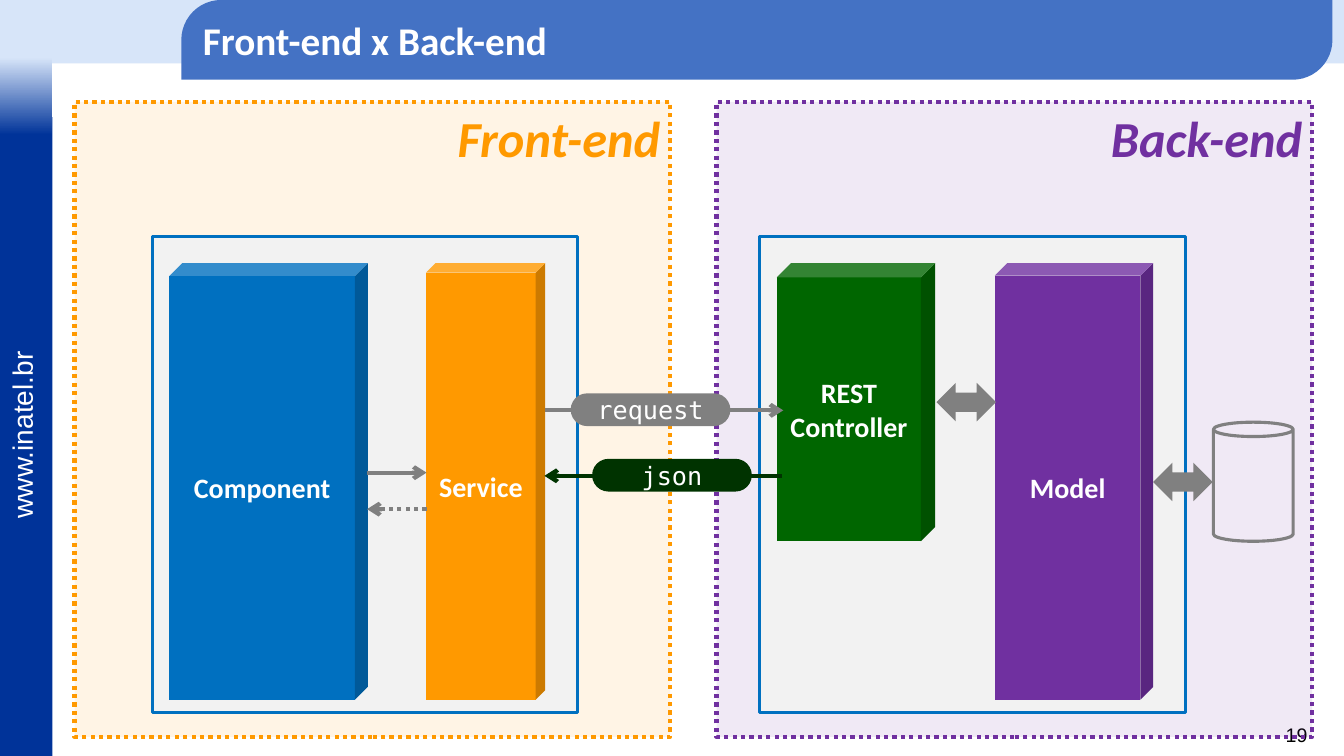
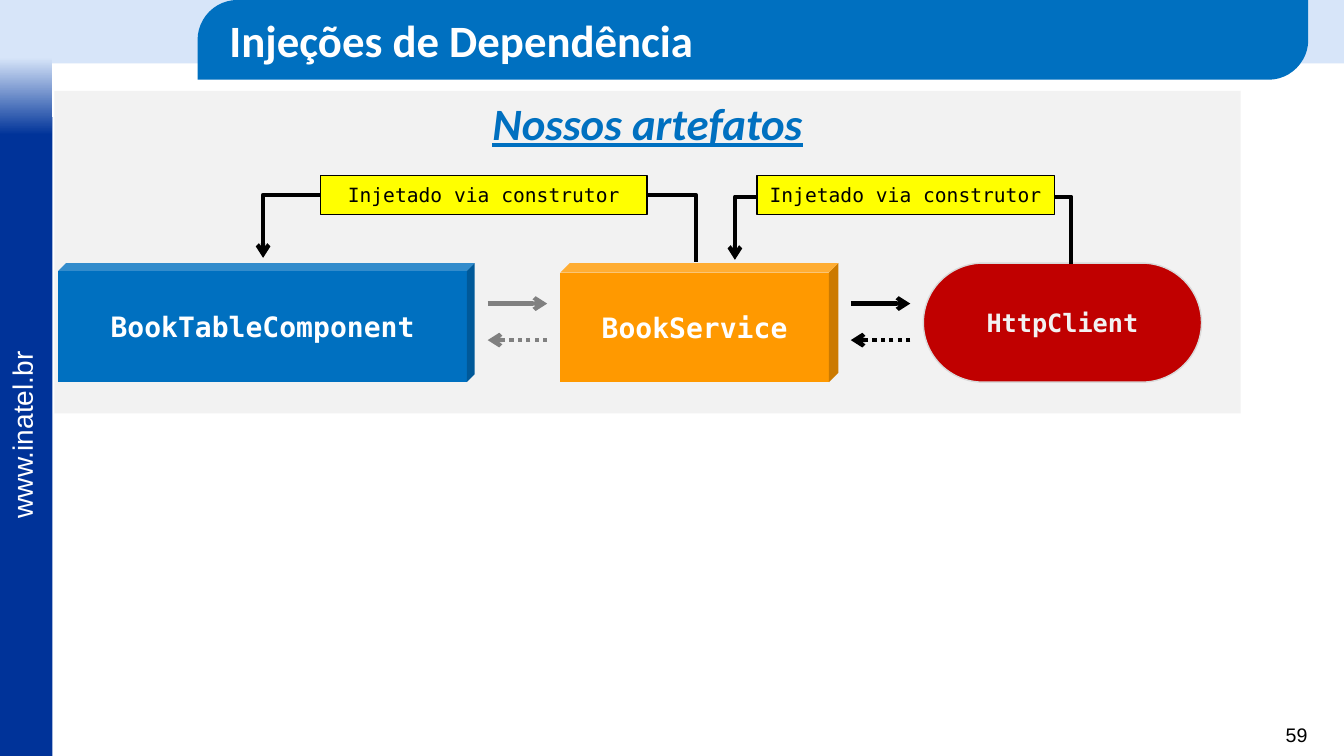
"""Build two slides on front-end, back-end and dependency injection."""
from lxml.etree import SubElement
from pptx import Presentation
from pptx.dml.color import RGBColor as Rgb
from pptx.enum.dml import MSO_LINE as Dash
from pptx.enum.shapes import MSO_CONNECTOR as Wire, MSO_SHAPE as Kind
from pptx.enum.text import MSO_ANCHOR as Anchor, PP_ALIGN as Align
from pptx.oxml.ns import qn
from pptx.util import Cm, Pt


class Theme:
    sky, navy = "D7E5F9", "003399"
    white, black, gray = "FFFFFF", "000000", "808080"
    pale, rim = "F2F2F2", "D9D9D9"
    blue, steel, red = "0070C0", "4472C4", "C00000"
    orange, purple = "FF9900", "7030A0"
    green, forest, yellow = "006600", "003300", "FFFF00"
    sans, mono, plain = "Calibri", "DejaVu Sans Mono", "Arial"
    huge, large, title, body, code, small = 36, 32, 28, 20, 18, 14
    thin, frame, thick = 1, 2.25, 3


def box(page, kind, at, fill=None, line=None, width=Theme.thin, text="",
        size=Theme.body, face=Theme.sans, ink=Theme.white, bold=False,
        slant=False, align=Align.CENTER, anchor=Anchor.MIDDLE, adjust=()):
    """Add a shape, or a text box when kind is None, and style it."""
    area = [Cm(n) for n in at]
    shape = page.shapes.add_shape(kind, *area) if kind else page.shapes.add_textbox(*area)
    shape.shadow.inherit = False
    for i, part in enumerate(adjust):
        shape.adjustments[i] = part
    if fill:
        shape.fill.solid()
        shape.fill.fore_color.rgb = Rgb.from_string(fill)
    else:
        shape.fill.background()
    if line:
        shape.line.color.rgb = Rgb.from_string(line)
        shape.line.width = Pt(width)
    else:
        shape.line.fill.background()
    if text:
        frame = shape.text_frame
        frame.text = text
        frame.word_wrap = True
        frame.vertical_anchor = anchor
        for para in frame.paragraphs:
            para.alignment = align
            font = para.runs[0].font
            font.name, font.size = face, Pt(size)
            font.bold, font.italic = bold, slant
            font.color.rgb = Rgb.from_string(ink)
    return shape


def link(page, ends, color, dotted=False, kind=Wire.STRAIGHT):
    """Add a line with an arrow at its far end."""
    wire = page.shapes.add_connector(kind, *[Cm(n) for n in ends])
    wire.line.color.rgb = Rgb.from_string(color)
    wire.line.width = Pt(Theme.thick)
    if dotted:
        wire.line.dash_style = Dash.ROUND_DOT
    props = wire._element.spPr
    SubElement(props.find(qn("a:ln")), qn("a:tailEnd"), type="arrow")
    SubElement(props, qn("a:effectLst"))
    return wire


deck = Presentation()
deck.slide_width, deck.slide_height = Cm(33.87), Cm(19.05)
blank = deck.slide_layouts[6]
parts, flow = [deck.slides.add_slide(blank) for _ in range(2)]

top = box(parts, Kind.RECTANGLE, (0, 0, 33.87, 1.6), Theme.sky)
side = box(parts, Kind.RECTANGLE, (0, 2.95, 1.32, 16.1), Theme.navy)
fade = box(parts, Kind.RECTANGLE, (0, 1.45, 1.32, 1.95))
fade.fill.gradient()
fade.fill.gradient_angle = 270
for stop, color in zip(fade.fill.gradient_stops, (Theme.sky, Theme.navy)):
    stop.color.rgb = Rgb.from_string(color)
site = box(parts, None, (-1.83, 10.39, 4.75, 1.09), text="www.inatel.br",
           face=Theme.plain, align=Align.LEFT, anchor=Anchor.TOP)
site.rotation = 270
for shape in (top, side, fade, site):
    blank.element.cSld.spTree.append(shape._element)

for page, number, text, left, width, fill, size, inset in (
        (parts, "19", "Front-end x Back-end", 4.57, 29.01, Theme.steel, Theme.title, 0.25),
        (flow, "59", "Injeções de Dependência", 4.98, 27.99, Theme.blue, Theme.large, 0.51)):
    box(page, None, (31.55, 18.08, 1.65, 0.86), text=number, size=Theme.small,
        face=Theme.plain, ink=Theme.black, align=Align.RIGHT, anchor=Anchor.TOP)
    head = box(page, Kind.ROUND_2_DIAG_RECTANGLE, (left, 0, width, 2.01), fill, text=text,
               size=size, bold=True, align=Align.LEFT, adjust=(0.5, 0))
    head.text_frame.margin_left = Cm(inset)

for left, inner, text, color in ((1.88, 3.84, "Front-end", Theme.orange),
                                 (18.06, 19.15, "Back-end", Theme.purple)):
    panel = box(parts, Kind.RECTANGLE, (left, 2.57, 15.01, 16), color, color, Theme.thick,
                text, Theme.huge, ink=color, bold=True, slant=True,
                align=Align.RIGHT, anchor=Anchor.TOP)
    panel.line.dash_style = Dash.ROUND_DOT
    tint = panel._element.spPr.find(qn("a:solidFill"))
    SubElement(tint[0], qn("a:alpha"), val="10000")
    box(parts, Kind.RECTANGLE, (inner, 5.97, 10.72, 11.99), Theme.pale, Theme.blue, Theme.frame)

for left, width, height, color, text, depth in (
        (25.07, 3.99, 11, Theme.purple, "Model", 0.08),
        (19.58, 3.99, 7.01, Theme.green, "REST\nController", 0.09),
        (10.74, 3, 11, Theme.orange, "Service", 0.08),
        (4.27, 5, 11, Theme.blue, "Component", 0.065)):
    box(parts, Kind.CUBE, (left, 6.63, width, height), color, text=text, bold=True,
        adjust=(depth,))

box(parts, Kind.CAN, (30.58, 10.64, 2.01, 3), line=Theme.gray, width=Theme.frame, adjust=(0.18,))
for left, y in ((23.6, 9.65), (29.06, 11.66)):
    box(parts, Kind.LEFT_RIGHT_ARROW, (left, y, 1.5, 0.97), Theme.gray)

for start, end, y, left, text, color in (
        (13.74, 19.74, 10.34, 14.4, "request", Theme.gray),
        (19.71, 13.72, 11.99, 14.94, "json", Theme.forest)):
    link(parts, (start, y, end, y), color)
    box(parts, Kind.ROUND_2_SAME_RECTANGLE, (left, y - 0.41, 3.99, 0.79), color, color,
        text=text, size=Theme.code, face=Theme.mono, adjust=(0.5, 0.5))

board = box(flow, Kind.RECTANGLE, (1.37, 2.29, 29.9, 8.13), Theme.pale, text="Nossos artefatos",
            size=Theme.large, ink=Theme.blue, bold=True, slant=True, anchor=Anchor.TOP)
board.text_frame.paragraphs[0].runs[0].font.underline = True
for left, width, color, text, depth in (
        (14.12, 7.01, Theme.orange, "BookService", 0.08),
        (1.47, 10.49, Theme.blue, "BookTableComponent", 0.065)):
    box(flow, Kind.CUBE, (left, 6.63, width, 3), color, text=text, face=Theme.mono,
        bold=True, adjust=(depth,))
box(flow, Kind.ROUNDED_RECTANGLE, (23.27, 6.63, 7.01, 3), Theme.red, Theme.rim,
    text="HttpClient", size=Theme.code, face=Theme.mono, ink=Theme.pale, bold=True, adjust=(0.5,))

drop, rise = 0.1, 1.69
for start, end, y, left, width in ((27, 18.52, 6.6, 19.08, 7.49),
                                   (17.53, 6.63, 6.55, 8.08, 8.23)):
    mid, half = (start + end) / 2, (start - end) / 2
    bend = link(flow, (mid - drop / 2, y - half, mid + drop / 2, y + half), Theme.black,
                kind=Wire.ELBOW)
    props = bend._element.spPr
    props.xfrm.set("rot", "16200000")
    props.xfrm.set("flipV", "1")
    SubElement(props.find(qn("a:prstGeom")).find(qn("a:avLst")), qn("a:gd"),
               name="adj1", fmla=f"val {round(rise / drop * 100000)}")
    box(flow, Kind.RECTANGLE, (left, 4.42, width, 0.99), Theme.yellow, Theme.black,
        text="Injetado via construtor", size=Theme.small, face=Theme.mono, ink=Theme.black)

for page, left, y, color in ((parts, 9.25, 11.91, Theme.gray),
                             (flow, 12.29, 7.65, Theme.gray),
                             (flow, 21.44, 7.65, Theme.black)):
    right, back = left + 1.5, y + 0.92
    link(page, (left, y, right, y), color)
    link(page, (right, back, left, back), color, dotted=True)

deck.save("out.pptx")
